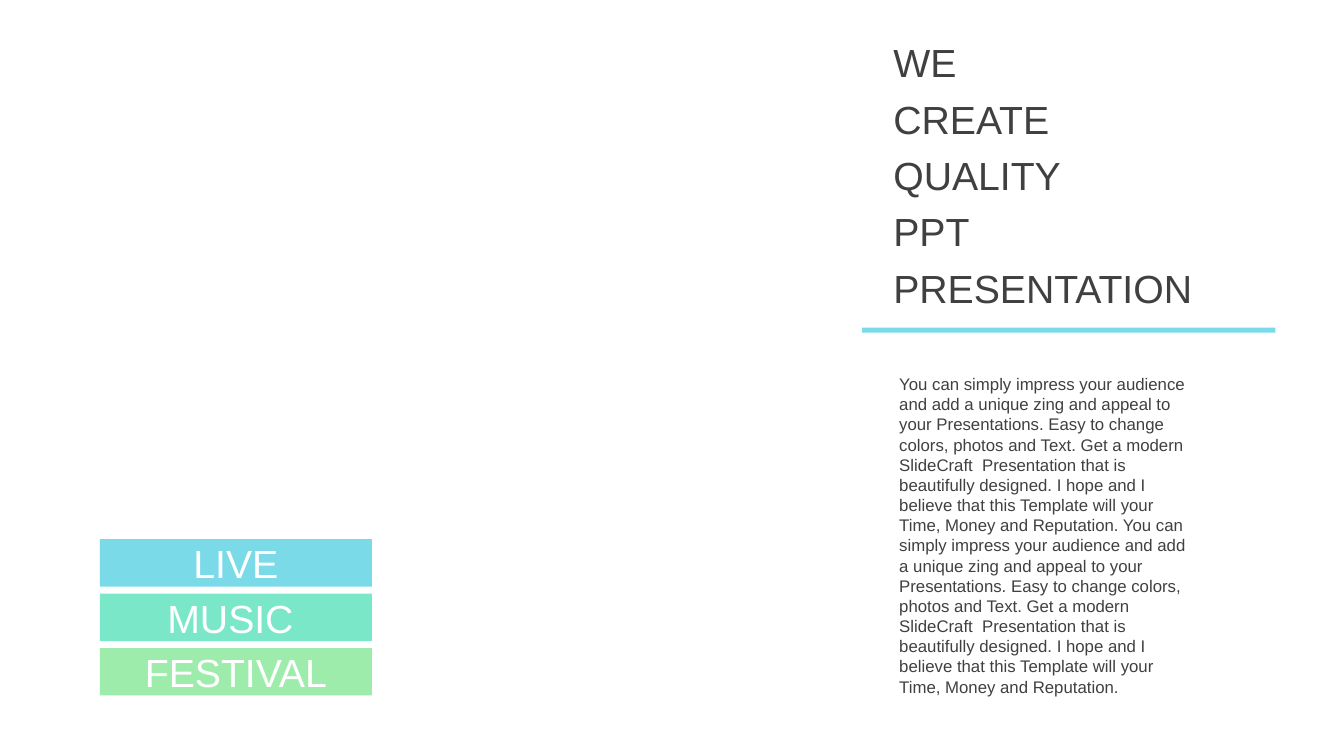
import dataclasses

import pptx
import pptx.dml.color
import pptx.enum.shapes
import pptx.enum.text
import pptx.util

Inches = pptx.util.Inches
Pt = pptx.util.Pt
RGB = pptx.dml.color.RGBColor.from_string


@dataclasses.dataclass(frozen=True)
class Theme:
    """Colours, font and type sizes of the slide."""

    font: str = "Arial"
    ink: str = "404040"
    white: str = "FFFFFF"
    sky: str = "7ADAE8"
    mint: str = "7AE8C8"
    leaf: str = "9EECAC"
    display: int = 28
    body: int = 12


THEME = Theme()
HEADLINE = ("WE", "CREATE", "QUALITY", "PPT", "PRESENTATION")
PITCH = (
    "You can simply impress your audience and add a unique zing and appeal to "
    "your Presentations. Easy to change colors, photos and Text. Get a modern "
    "SlideCraft  Presentation that is beautifully designed. I hope and I believe "
    "that this Template will your Time, Money and Reputation."
)
BADGES = (("LIVE", THEME.sky), ("MUSIC ", THEME.mint), ("FESTIVAL", THEME.leaf))


def add_run(p, text, size, color):
    """Add one styled run to a paragraph."""
    r = p.add_run()
    r.text = text
    r.font.name = THEME.font
    r.font.size = Pt(size)
    r.font.color.rgb = RGB(color)


def set_tight_frame(tf):
    """Give a text frame narrow insets and middle anchoring."""
    tf.margin_left = tf.margin_right = Inches(0.04)
    tf.margin_top = tf.margin_bottom = 0
    tf.vertical_anchor = pptx.enum.text.MSO_ANCHOR.MIDDLE
    tf.auto_size = pptx.enum.text.MSO_AUTO_SIZE.NONE
    tf.word_wrap = True


def add_bar(s, left, top, width, height, color):
    """Add a plain filled rectangle."""
    sp = s.shapes.add_shape(
        pptx.enum.shapes.MSO_SHAPE.RECTANGLE,
        Inches(left), Inches(top), Inches(width), Inches(height),
    )
    sp.shadow.inherit = False
    sp.fill.solid()
    sp.fill.fore_color.rgb = RGB(color)
    sp.line.fill.background()
    return sp


def add_headline(s, left, top, width, height):
    """Place the title as a stack of single words."""
    sp = s.shapes.title
    sp.left, sp.top = Inches(left), Inches(top)
    sp.width, sp.height = Inches(width), Inches(height)
    tf = sp.text_frame
    set_tight_frame(tf)
    for i, word in enumerate(HEADLINE):
        p = tf.add_paragraph() if i else tf.paragraphs[0]
        p.alignment = pptx.enum.text.PP_ALIGN.LEFT
        p.line_spacing = 1.0
        p.space_before = Pt(6.7 if i else 0)
        add_run(p, word, THEME.display, THEME.ink)


def add_story(s, left, top, width, height):
    """Place the body copy, which states the pitch twice."""
    sp = s.shapes.add_textbox(Inches(left), Inches(top), Inches(width), Inches(height))
    tf = sp.text_frame
    tf.word_wrap = True
    add_run(tf.paragraphs[0], " ".join([PITCH] * 2), THEME.body, THEME.ink)


def add_message(s, left, top, width):
    """Place the headline, the rule below it and the body copy."""
    add_headline(s, left + 0.27, top, width - 0.27, 2.63)
    add_bar(s, left, top + 2.83, width, 0.05, THEME.sky)
    add_story(s, left + 0.27, top + 3.24, 3.08, 3.33)


def add_badges(s, left, top, width, height, step):
    """Stack the coloured event badges at equal steps."""
    for i, (label, color) in enumerate(BADGES):
        sp = add_bar(s, left, top + i * step, width, height, color)
        set_tight_frame(sp.text_frame)
        p = sp.text_frame.paragraphs[0]
        p.alignment = pptx.enum.text.PP_ALIGN.CENTER
        add_run(p, label, THEME.display, THEME.white)


def main():
    """Build and save the one-slide deck."""
    prs = pptx.Presentation()
    prs.slide_width, prs.slide_height = Inches(13.33), Inches(7.5)
    s = prs.slides.add_slide(prs.slide_layouts.get_by_name("Title Only"))
    add_message(s, 8.55, 0.42, 4.1)
    add_badges(s, 0.99, 5.35, 2.7, 0.47, 0.54)
    prs.save("out.pptx")


if __name__ == "__main__":
    main()
